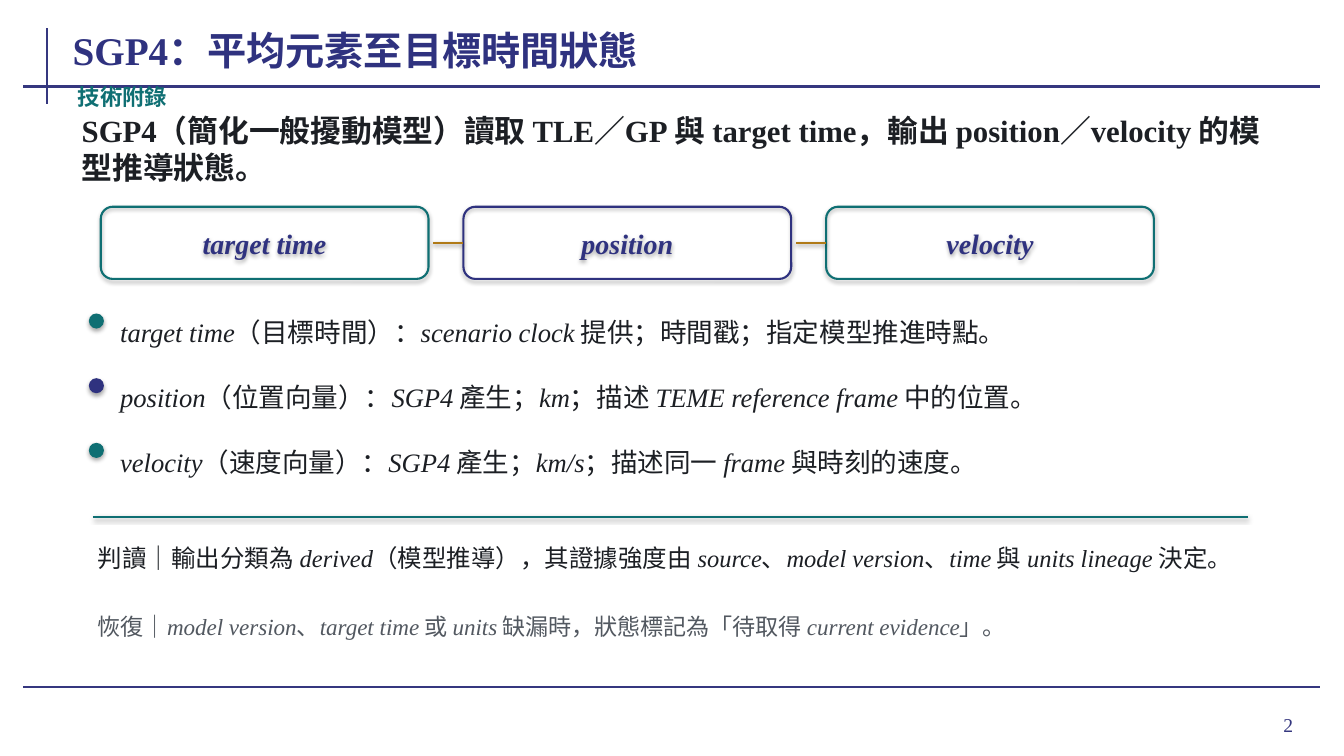
"""Build the SGP4 technical appendix slide."""
from lxml import etree
from pptx import Presentation
from pptx.dml.color import RGBColor
from pptx.enum.shapes import MSO_CONNECTOR, MSO_SHAPE
from pptx.enum.text import MSO_ANCHOR, MSO_AUTO_SIZE, PP_ALIGN
from pptx.oxml.ns import qn
from pptx.util import Cm, Pt

STRAIGHT = MSO_CONNECTOR.STRAIGHT
ROUNDED, OVAL = MSO_SHAPE.ROUNDED_RECTANGLE, MSO_SHAPE.OVAL
MIDDLE, BOTTOM = MSO_ANCHOR.MIDDLE, MSO_ANCHOR.BOTTOM
LEFT, CENTER, RIGHT = PP_ALIGN.LEFT, PP_ALIGN.CENTER, PP_ALIGN.RIGHT
FIT, FIXED = MSO_AUTO_SIZE.SHAPE_TO_FIT_TEXT, MSO_AUTO_SIZE.NONE


class Theme:
    latin, chinese = "Times New Roman", "Noto Sans CJK SC"
    frame = RGBColor.from_string("35377F")
    navy = RGBColor.from_string("2F327F")
    teal = RGBColor.from_string("0F6F73")
    gold = RGBColor.from_string("B07A17")
    ink = RGBColor.from_string("1C1F24")
    gray = RGBColor.from_string("525860")
    title, lead, card, bullet = Pt(28), Pt(22), Pt(20), Pt(19)
    reading, recovery, tag, number = Pt(17.5), Pt(16.5), Pt(16), Pt(14)
    line, divider = Pt(1.5), Pt(1.6)


def write(shape, text, size, color, bold=False, italic=False, align=LEFT,
          anchor=MIDDLE, fit=FIT, inset=Cm(0.13)):
    """Fill a shape with text whose Latin terms stand between asterisks."""
    frame = shape.text_frame
    frame.word_wrap, frame.auto_size, frame.vertical_anchor = True, fit, anchor
    frame.margin_left = frame.margin_right = inset
    frame.margin_top = frame.margin_bottom = inset
    para = frame.paragraphs[0]
    para.alignment = align
    para.font.size, para.font.bold = size, bold
    para.font.color.rgb = color
    for index, part in enumerate(text.split("*")):
        if part:
            is_term = index % 2 == 1
            span = para.add_run()
            span.text = part
            span.font.name = Theme.latin if is_term else Theme.chinese
            span.font.italic = italic and is_term
            etree.SubElement(span._r.get_or_add_rPr(), qn("a:ea"), typeface=Theme.chinese)


def draw_line(left, top, right, bottom, color, width=Theme.line):
    """Draw a straight line between two points given in centimetres."""
    line = page.shapes.add_connector(STRAIGHT, Cm(left), Cm(top), Cm(right), Cm(bottom))
    line.line.color.rgb, line.line.width = color, width
    return line


deck = Presentation()
deck.slide_width, deck.slide_height = Cm(33.87), Cm(19.05)
page = deck.slides.add_slide(deck.slide_layouts[5])

for ends in ((1.19, 0.71, 1.19, 2.62), (0.58, 2.18, 33.27, 2.18), (0.58, 17.32, 33.27, 17.32)):
    frame_line = draw_line(*ends, Theme.frame)
    etree.SubElement(frame_line._element.spPr, qn("a:effectLst"))

title = page.shapes.title
title.left, title.top, title.width, title.height = Cm(1.83), Cm(0.51), Cm(26.29), Cm(1.35)
write(title, "*SGP4*：平均元素至目標時間狀態", Theme.title, Theme.navy, bold=True,
      anchor=BOTTOM, fit=FIXED, inset=0)

texts = (
    ((1.83, 2.08, 3.94, 0.69), "技術附錄", Theme.tag, Theme.teal, True, False, LEFT),
    ((1.93, 2.84, 30.35, 1.83),
     "*SGP4*（簡化一般擾動模型）讀取 *TLE*／*GP* 與 *target time*，輸出 *position*／*velocity* 的模型推導狀態。",
     Theme.lead, Theme.ink, True, False, LEFT),
    ((2.34, 13.16, 29.11, 1.78),
     "判讀｜輸出分類為 *derived*（模型推導），其證據強度由 *source*、*model version*、*time* 與 *units lineage* 決定。",
     Theme.reading, Theme.ink, False, True, LEFT),
    ((2.34, 15.04, 29.11, 1.47),
     "恢復｜*model version*、*target time* 或 *units* 缺漏時，狀態標記為「待取得 *current evidence*」。",
     Theme.recovery, Theme.gray, False, True, LEFT),
    ((30.38, 17.6, 2.34, 1.32), "*2*", Theme.number, Theme.frame, False, False, RIGHT),
)
for place, text, size, color, bold, italic, align in texts:
    box = page.shapes.add_textbox(*map(Cm, place))
    write(box, text, size, color, bold, italic, align)

card_left, card_top, card_width, card_height, card_pitch = 2.54, 5.21, 8.26, 1.82, 9.14
bullet_top, bullet_pitch, dot_size = 7.62, 1.63, 0.38
outputs = (
    ("target time", Theme.teal, "（目標時間）：*scenario clock* 提供；時間戳；指定模型推進時點。"),
    ("position", Theme.navy, "（位置向量）：*SGP4* 產生；*km*；描述 *TEME reference frame* 中的位置。"),
    ("velocity", Theme.teal, "（速度向量）：*SGP4* 產生；*km/s*；描述同一 *frame* 與時刻的速度。"),
)
for index, (name, color, meaning) in enumerate(outputs):
    left = card_left + index * card_pitch
    card = page.shapes.add_shape(ROUNDED, Cm(left), Cm(card_top), Cm(card_width), Cm(card_height))
    card.fill.background()
    card.line.color.rgb, card.line.width = color, Theme.line
    write(card, f"*{name}*", Theme.card, Theme.navy, bold=True, italic=True, align=CENTER, fit=FIXED)
    if index:
        middle = card_top + card_height / 2
        link = draw_line(left - 0.76, middle, left, middle, Theme.gold)
        link.end_connect(card, 1)

    top = bullet_top + index * bullet_pitch
    dot = page.shapes.add_shape(OVAL, Cm(2.24), Cm(top + 0.28), Cm(dot_size), Cm(dot_size))
    dot.fill.solid()
    dot.fill.fore_color.rgb = color
    dot.line.fill.background()
    box = page.shapes.add_textbox(Cm(2.9), Cm(top), Cm(29.08), Cm(1.5))
    write(box, f"*{name}*{meaning}", Theme.bullet, Theme.ink, italic=True)

draw_line(2.34, 13.03, 31.45, 13.03, Theme.teal, Theme.divider)

deck.save("out.pptx")
